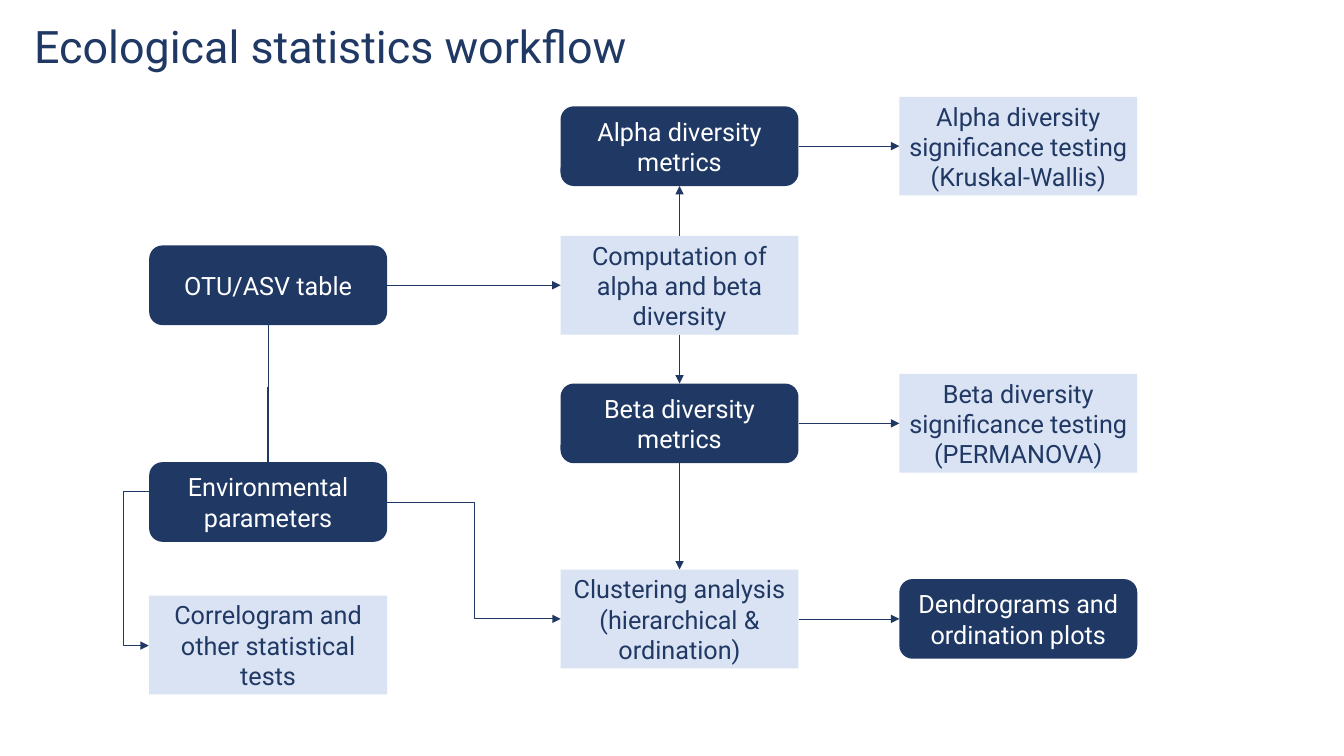
"""Build the ecological statistics workflow slide."""
import pptx
import pptx.dml.color
import pptx.enum.shapes
import pptx.enum.text
import pptx.oxml
import pptx.oxml.ns
import pptx.util

Inches = pptx.util.Inches
Pt = pptx.util.Pt
SHAPE = pptx.enum.shapes.MSO_SHAPE
CONNECTOR = pptx.enum.shapes.MSO_CONNECTOR
NAVY, PALE, WHITE = "203864", "DAE3F3", "FFFFFF"
TOP, LEFT, BOTTOM, RIGHT = range(4)


def color(value):
    return pptx.dml.color.RGBColor.from_string(value)


def add_line(kind, start, end, arrow=True):
    line = slide.shapes.add_connector(kind, *(Inches(value) for value in start + end))
    line.line.color.rgb = color(NAVY)
    line.line.width = Pt(0.5)
    if arrow:
        outline = line.line._get_or_add_ln()
        outline.append(pptx.oxml.parse_xml(f'<a:tailEnd {pptx.oxml.ns.nsdecls("a")} type="triangle"/>'))
    line._element.spPr.append(pptx.oxml.parse_xml(f'<a:effectLst {pptx.oxml.ns.nsdecls("a")}/>'))
    return line


deck = pptx.Presentation()
deck.slide_width, deck.slide_height = Inches(13.33), Inches(7.5)
slide = deck.slides.add_slide(deck.slide_layouts[6])

title = slide.shapes.add_textbox(Inches(0.24), Inches(0.15), Inches(11.61), Inches(0.67))
title.text_frame.word_wrap = True
title.text_frame.vertical_anchor = pptx.enum.text.MSO_ANCHOR.MIDDLE
para = title.text_frame.paragraphs[0]
para.line_spacing = 0.9
span = para.add_run()
span.text = "Ecological statistics workflow"
span.font.name, span.font.size = "Roboto", Pt(32)
span.font.color.rgb = color(NAVY)

correlogram_line = add_line(CONNECTOR.ELBOW, (0.78, 4.53), (3.35, 5.71))
correlogram_line._element.spPr.xfrm.set("rot", str(90 * 60000))
geometry = correlogram_line._element.spPr.prstGeom
geometry.set("prst", "bentConnector4")
for number, share in enumerate((0.404, 1.212), start=1):
    guide = pptx.oxml.parse_xml(f'<a:gd {pptx.oxml.ns.nsdecls("a")} name="adj{number}" fmla="val {share * 100000:.0f}"/>')
    geometry.get_or_add_avLst().append(guide)

box_width = 2.36
data_style = (SHAPE.ROUNDED_RECTANGLE, 0.79, NAVY, WHITE)
step_style = (SHAPE.RECTANGLE, 0.98, PALE, NAVY)
input_column, analysis_column, result_column = 1.48, 5.56, 8.92
alpha_row, table_row, beta_row, cluster_row = 1.45, 2.83, 4.2, 6.14
steps = {
    "table": (data_style, input_column, table_row, ["OTU/ASV table"]),
    "environment": (data_style, input_column, 4.98, ["Environmental parameters"]),
    "correlogram": (step_style, input_column, 6.4, ["Correlogram and other statistical tests"]),
    "alpha": (data_style, analysis_column, alpha_row, ["Alpha diversity metrics"]),
    "computation": (step_style, analysis_column, table_row, ["Computation of alpha and beta diversity"]),
    "beta": (data_style, analysis_column, beta_row, ["Beta diversity metrics"]),
    "clustering": (step_style, analysis_column, cluster_row, ["Clustering analysis", "(hierarchical & ordination)"]),
    "alpha test": (step_style, result_column, alpha_row, ["Alpha diversity significance testing (Kruskal-Wallis)"]),
    "beta test": (step_style, result_column, beta_row, ["Beta diversity significance testing (PERMANOVA)"]),
    "plots": (data_style, result_column, cluster_row, ["Dendrograms and ordination plots"]),
}
boxes = {}
for name, (style, left, middle, texts) in steps.items():
    preset, height, fill, ink = style
    box = slide.shapes.add_shape(preset, Inches(left), Inches(middle - height / 2), Inches(box_width), Inches(height))
    box.shadow.inherit = False
    box.fill.solid()
    box.fill.fore_color.rgb = color(fill)
    box.line.fill.background()
    frame = box.text_frame
    frame.word_wrap = True
    frame.vertical_anchor = pptx.enum.text.MSO_ANCHOR.MIDDLE
    for index, text in enumerate(texts):
        para = frame.add_paragraph() if index else frame.paragraphs[0]
        para.alignment = pptx.enum.text.PP_ALIGN.CENTER
        span = para.add_run()
        span.text = text
        span.font.name, span.font.size = "Roboto", Pt(18)
        span.font.color.rgb = color(ink)
    boxes[name] = box

links = [
    ("table", RIGHT, "computation", LEFT),
    ("table", BOTTOM, "environment", TOP),
    ("environment", RIGHT, "clustering", LEFT),
    ("computation", TOP, "alpha", BOTTOM),
    ("computation", BOTTOM, "beta", TOP),
    ("beta", BOTTOM, "clustering", TOP),
    ("alpha", RIGHT, "alpha test", LEFT),
    ("beta", RIGHT, "beta test", LEFT),
    ("clustering", RIGHT, "plots", LEFT),
]
for source, source_side, target, target_side in links:
    bent = (source, target) == ("environment", "clustering")
    kind = CONNECTOR.ELBOW if bent else CONNECTOR.STRAIGHT
    line = add_line(kind, (0, 0), (0, 0), arrow=target != "environment")
    line.begin_connect(boxes[source], source_side)
    line.end_connect(boxes[target], target_side)

deck.save("out.pptx")
